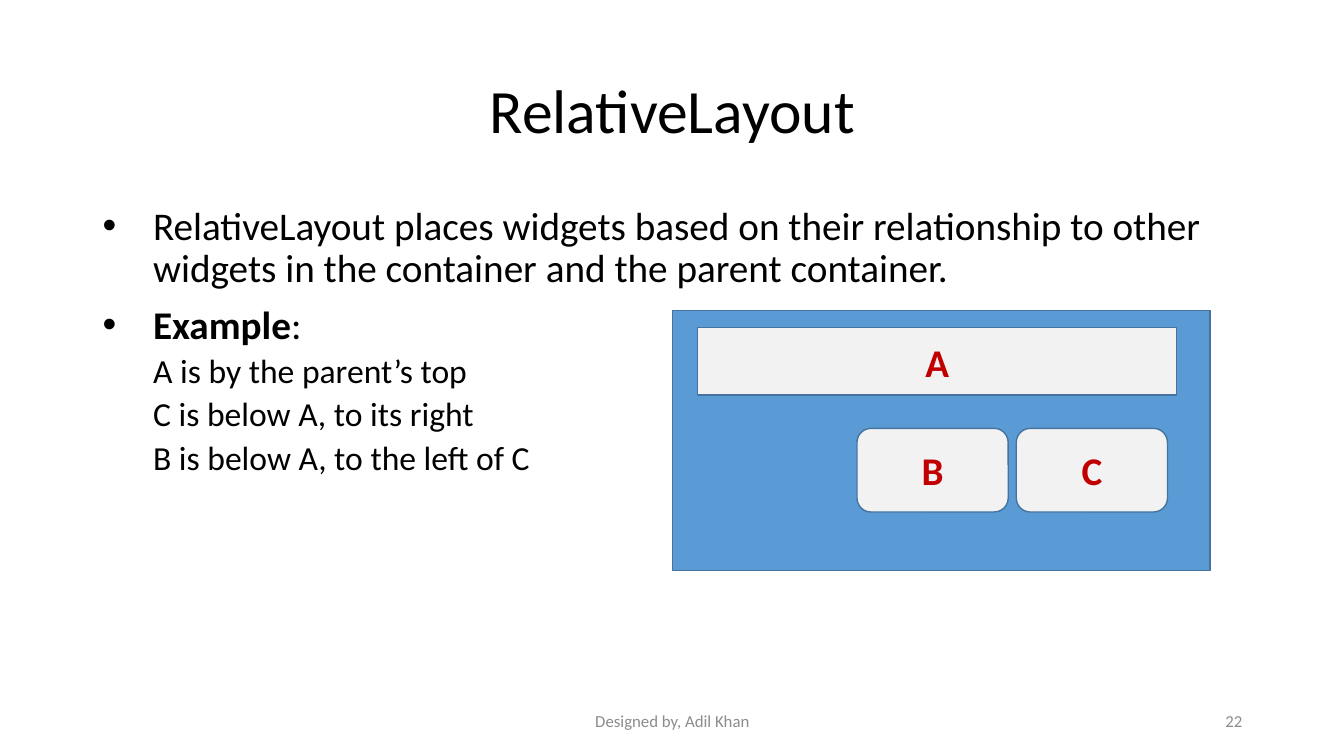
from lxml.etree import SubElement
from pptx import Presentation
from pptx.dml.color import RGBColor
from pptx.enum.shapes import MSO_SHAPE
from pptx.enum.text import MSO_ANCHOR, PP_ALIGN
from pptx.oxml.ns import qn
from pptx.util import Pt

PX = 9144  # EMU per px, 100 px to the inch
COLOURS = {
    "text": "000000",
    "muted": "8C8C8C",
    "container": "5B9BD5",
    "widget": "F2F2F2",
    "outline": "43739E",
    "label": "C00000",
}


def colour(name):
    return RGBColor.from_string(COLOURS[name])


class SlideBuilder:
    font = "Calibri"

    def __init__(self, slide):
        self.slide = slide

    def box(self, left, top, width, height):
        return [length * PX for length in (left, top, width, height)]

    def run(self, paragraph, text, size, ink="text", bold=False):
        run = paragraph.add_run()
        run.text = text
        run.font.name = self.font
        run.font.size = Pt(size)
        run.font.bold = bold
        run.font.color.rgb = colour(ink)

    def title(self, text, *bounds):
        heading = self.slide.shapes.title
        heading.left, heading.top, heading.width, heading.height = self.box(*bounds)
        heading.text_frame.vertical_anchor = MSO_ANCHOR.MIDDLE
        line = heading.text_frame.paragraphs[0]
        line.alignment = PP_ALIGN.CENTER
        line.line_spacing = 0.9
        self.run(line, text, 44)

    def text_frame(self, *bounds):
        frame = self.slide.shapes.add_textbox(*self.box(*bounds)).text_frame
        frame.word_wrap = True
        return frame

    def body(self, entries, *bounds):
        """Each entry is a level and a list of (text, bold) runs."""
        frame = self.text_frame(*bounds)
        for index, (level, parts) in enumerate(entries):
            line = frame.add_paragraph() if index else frame.paragraphs[0]
            line.level = level
            line.line_spacing = 0.9
            line.space_before = Pt(5 if level else 10)
            properties = line._p.get_or_add_pPr()
            properties.set("marL", str(50 * PX))
            properties.set("indent", str(0 if level else -50 * PX))
            if level:
                SubElement(properties, qn("a:buNone"))
            else:
                SubElement(properties, qn("a:buFont"), typeface="Arial")
                SubElement(properties, qn("a:buChar"), char="•")
            for text, bold in parts:
                self.run(line, text, 24 if level else 28, bold=bold)

    def footer(self, text, alignment, *bounds):
        frame = self.text_frame(*bounds)
        frame.vertical_anchor = MSO_ANCHOR.MIDDLE
        line = frame.paragraphs[0]
        line.alignment = alignment
        self.run(line, text, 12, "muted")

    def panel(self, preset, fill, label, *bounds):
        panel = self.slide.shapes.add_shape(preset, *self.box(*bounds))
        panel.shadow.inherit = False
        panel.fill.solid()
        panel.fill.fore_color.rgb = colour(fill)
        panel.line.color.rgb = colour("outline")
        panel.line.width = Pt(1)
        if label:
            panel.text_frame.vertical_anchor = MSO_ANCHOR.MIDDLE
            line = panel.text_frame.paragraphs[0]
            line.alignment = PP_ALIGN.CENTER
            self.run(line, label, 28, "label", bold=True)


def main():
    deck = Presentation()
    deck.slide_width, deck.slide_height = 1333 * PX, 750 * PX
    builder = SlideBuilder(deck.slides.add_slide(deck.slide_layouts[5]))

    # Title and explanation
    builder.title("RelativeLayout", 92, 40, 1150, 145)
    builder.body([
        (0, [("RelativeLayout places widgets based on their relationship to other "
              "widgets in the container and the parent container.", False)]),
        (0, [("Example", True), (":", False)]),
        (1, [("A is by the parent’s top", False)]),
        (1, [("C is below A, to its right", False)]),
        (1, [("B is below A, to the left of C", False)]),
    ], 92, 200, 1150, 476)

    # Example layout: parent container with its widgets
    builder.panel(MSO_SHAPE.RECTANGLE, "container", "", 667, 308, 533, 258)
    builder.panel(MSO_SHAPE.RECTANGLE, "widget", "A", 692, 325, 475, 67)
    for column, label in enumerate("BC"):
        builder.panel(MSO_SHAPE.ROUNDED_RECTANGLE, "widget", label,
                      850 + column * 158, 425, 150, 83)

    # Footer
    builder.footer("Designed by, Adil Khan", PP_ALIGN.CENTER, 442, 695, 450, 40)
    builder.footer("22", PP_ALIGN.RIGHT, 942, 695, 300, 40)

    deck.save("out.pptx")


if __name__ == "__main__":
    main()
